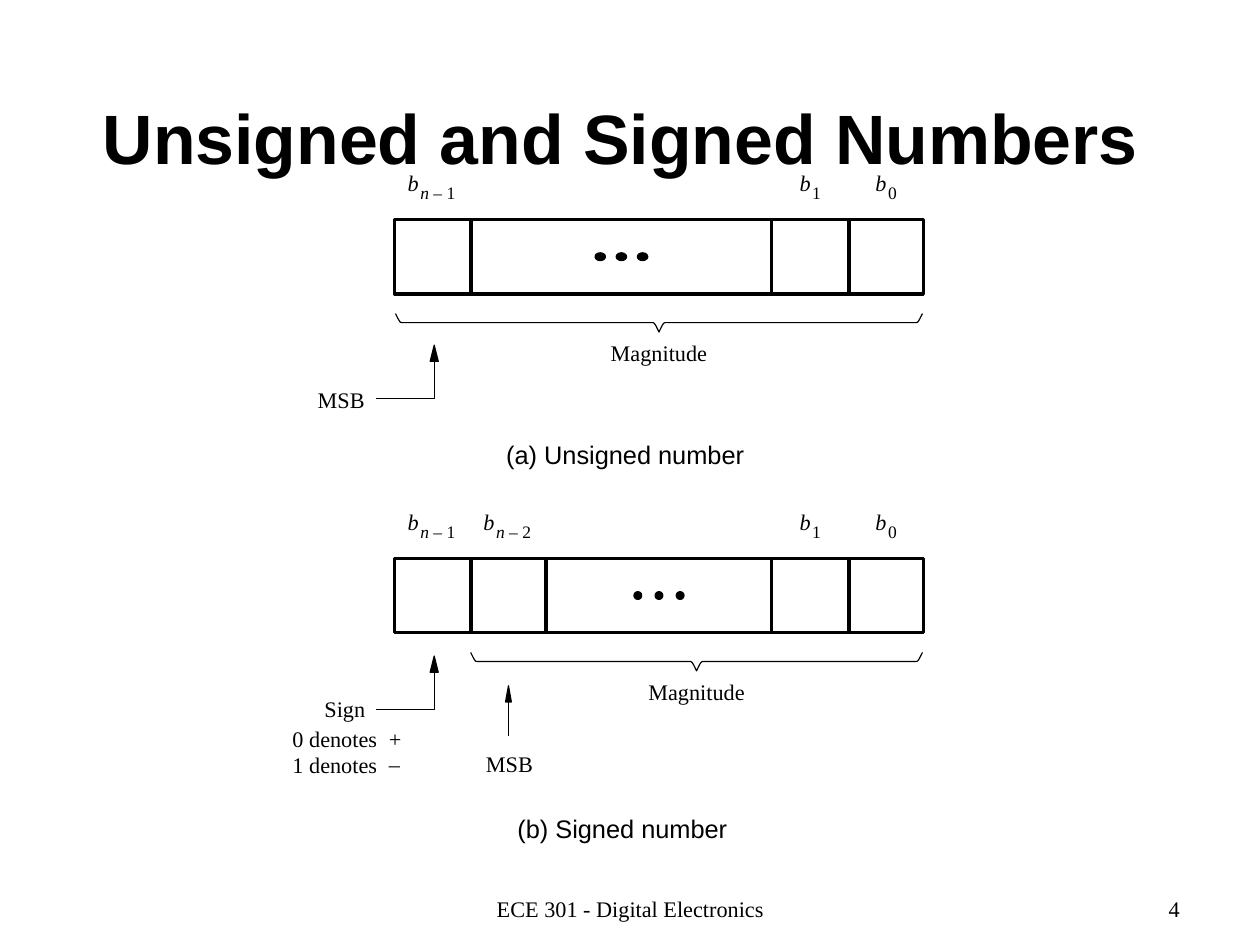
from dataclasses import dataclass

from lxml import etree
from pptx import Presentation
from pptx.dml.color import RGBColor
from pptx.enum.shapes import MSO_CONNECTOR, MSO_SHAPE
from pptx.enum.text import MSO_ANCHOR, MSO_AUTO_SIZE, PP_ALIGN
from pptx.oxml.ns import qn
from pptx.util import Cm, Pt


@dataclass(frozen=True)
class Theme:
    ink: RGBColor = RGBColor(0, 0, 0)
    sans: str = "Arial"
    serif: str = "Times New Roman"
    title: int = 44
    caption: int = 16
    label: int = 14
    subscript: int = 11
    cell_line: float = 2.25
    thin_line: float = 0.75


THEME = Theme()

# All lengths below are in centimetres.
TITLE = "Unsigned and Signed Numbers"
CELL_HEIGHT = 1.65
BRACE_END = 20.5
MAGNITUDE_WIDTH = 2.8
# Each cell: left edge, right edge, (italic, upright) subscript or None for dots.
HIGH_BIT = (8.77, 10.47, ("n", " – 1"))
LOW_BITS = [(17.15, 18.87, ("", "1")), (18.87, 20.52, ("", "0"))]
REGISTERS = [
    {"top": 4.88, "dot_width": 0.18, "brace_start": 8.79,
     "cells": [HIGH_BIT, (10.47, 17.15, None), *LOW_BITS]},
    {"top": 12.41, "dot_width": 0.12, "brace_start": 10.46,
     "cells": [HIGH_BIT, (10.47, 12.14, ("n", " – 2")),
               (12.14, 17.15, None), *LOW_BITS]},
]
# Each pointer: points from tail to tip, width of the head.
POINTERS = [
    ([(8.36, 8.85), (9.65, 8.85), (9.65, 7.67)], 0.18),
    ([(8.36, 15.77), (9.65, 15.77), (9.65, 14.58)], 0.18),
    ([(11.3, 16.36), (11.3, 15.24)], 0.13),
]
NOTES = [
    ("MSB", 7.06, 8.59, 1.25),
    ("Sign", 7.21, 15.45, 1.1),
    ("0 denotes", 6.5, 16.11, 2.1),
    ("+", 8.64, 16.11, 0.5),
    ("1 denotes", 6.5, 16.69, 2.1),
    ("–", 8.64, 16.68, 0.5),
    ("MSB", 10.8, 16.67, 1.25),
]
CAPTIONS = [("(a) Unsigned number", 11.25, 9.77, 5.8),
            ("(b) Signed number", 11.5, 18.08, 5.2)]
FOOTER_TOP = 19.94
FOOTERS = [("ECE 301 - Digital Electronics", 9.58, 8.86, PP_ALIGN.CENTER),
           ("4", 19.69, 6.53, PP_ALIGN.RIGHT)]


def clear_margins(frame):
    frame.margin_left = frame.margin_right = 0
    frame.margin_top = frame.margin_bottom = 0


def add_run(paragraph, words, size, face, italic=False, bold=False):
    run = paragraph.add_run()
    run.text = words
    font = run.font
    font.name, font.size = face, Pt(size)
    font.italic, font.bold = italic, bold
    font.color.rgb = THEME.ink


def add_text(slide, runs, left, top, width, size=THEME.label,
             face=THEME.serif, align=PP_ALIGN.LEFT):
    """Add one line of text; runs are (words, italic) pairs."""
    box = slide.shapes.add_textbox(Cm(left), Cm(top), Cm(width), Cm(size * 0.042))
    frame = box.text_frame
    clear_margins(frame)
    frame.word_wrap = True
    frame.auto_size = MSO_AUTO_SIZE.NONE
    line = frame.paragraphs[0]
    line.alignment = align
    for words, italic in runs:
        if words:
            add_run(line, words, size, face, italic)
    return line


def style_shape(shape, line_width, filled=False):
    shape.shadow.inherit = False
    if filled:
        shape.fill.solid()
        shape.fill.fore_color.rgb = THEME.ink
    else:
        shape.fill.background()
    shape.line.color.rgb = THEME.ink
    shape.line.width = Pt(line_width)


def add_outline(slide, points, closed=False):
    corners = [(Cm(x), Cm(y)) for x, y in points]
    builder = slide.shapes.build_freeform(*corners[0])
    builder.add_line_segments(corners[1:], close=closed)
    style_shape(builder.convert_to_shape(), THEME.thin_line, filled=closed)


def bend(start, corner, end, steps=8):
    """Points on a curve pulled twice towards one corner."""
    curve = []
    for step in range(steps + 1):
        t = step / steps
        weights = ((1 - t) ** 3, 3 * t * (1 - t), t ** 3)
        curve.append(tuple(sum(w * p for w, p in zip(weights, axis))
                           for axis in zip(start, corner, end)))
    return curve


def add_brace(slide, left, right, top):
    middle, bar, tip = (left + right) / 2, top + 0.2, top + 0.41
    half = bend((left, top), (left + 0.1, bar), (left + 0.15, bar))
    half += bend((middle - 0.17, bar), (middle - 0.1, bar), (middle, tip))
    mirrored = [(left + right - x, y) for x, y in reversed(half[:-1])]
    add_outline(slide, half + mirrored)


def add_pointer(slide, points, head_width, head_length=0.36):
    *tail, (x, tip) = points
    neck = tip + head_length
    if len(tail) == 1:
        shaft = slide.shapes.add_connector(
            MSO_CONNECTOR.STRAIGHT, *map(Cm, tail[0]), Cm(x), Cm(neck))
        shaft.line.color.rgb = THEME.ink
        shaft.line.width = Pt(THEME.thin_line)
        etree.SubElement(shaft._element.spPr, qn("a:effectLst"))
    else:
        add_outline(slide, tail + [(x, neck)])
    half = head_width / 2
    add_outline(slide, [(x - half, neck), (x, tip), (x + half, neck)], closed=True)


def add_dots(slide, center, middle, width, height=0.12, pitch=0.47):
    for offset in (-pitch, 0, pitch):
        dot = slide.shapes.add_shape(
            MSO_SHAPE.OVAL, Cm(center + offset - width / 2),
            Cm(middle - height / 2), Cm(width), Cm(height))
        style_shape(dot, THEME.cell_line, filled=True)


def add_bit_name(slide, subscript, center, cell_top, room=0.3):
    """Centre b and its subscript over a cell; room keeps each on one line."""
    italic, upright = subscript
    base_width, subscript_width = 0.28, 0.84 if italic else 0.2
    left = center - (base_width + subscript_width) / 2
    add_text(slide, [("b", True)], left, cell_top - 1.12, base_width + room)
    add_text(slide, [(italic, True), (upright, False)], left + base_width,
             cell_top - 0.84, subscript_width + room, THEME.subscript)


def add_register(slide, top, dot_width, brace_start, cells):
    for left, right, subscript in cells:
        cell = slide.shapes.add_shape(MSO_SHAPE.RECTANGLE, Cm(left), Cm(top),
                                      Cm(right - left), Cm(CELL_HEIGHT))
        style_shape(cell, THEME.cell_line)
        center = (left + right) / 2
        if subscript:
            add_bit_name(slide, subscript, center, top)
        else:
            add_dots(slide, center, top + CELL_HEIGHT / 2, dot_width)
    add_brace(slide, brace_start, BRACE_END, top + 2.09)
    add_text(slide, [("Magnitude", False)],
             (brace_start + BRACE_END - MAGNITUDE_WIDTH) / 2, top + 2.67,
             MAGNITUDE_WIDTH, align=PP_ALIGN.CENTER)


def fill_title(title):
    title.left, title.top = Cm(1.5), Cm(1.34)
    title.width, title.height = Cm(24.61), Cm(3.51)
    frame = title.text_frame
    clear_margins(frame)
    frame.margin_top = Cm(0.1)
    frame.vertical_anchor = MSO_ANCHOR.MIDDLE
    frame.auto_size = MSO_AUTO_SIZE.NONE
    line = frame.paragraphs[0]
    line.alignment, line.line_spacing = PP_ALIGN.CENTER, 0.93
    add_run(line, TITLE, THEME.title, THEME.sans, bold=True)


def main():
    deck = Presentation()
    deck.slide_width, deck.slide_height = Cm(28), Cm(21)
    slide = deck.slides.add_slide(deck.slide_layouts.get_by_name("Title Only"))
    fill_title(slide.shapes.title)
    for register in REGISTERS:
        add_register(slide, **register)
    for points, head_width in POINTERS:
        add_pointer(slide, points, head_width)
    for words, *place in NOTES:
        add_text(slide, [(words, False)], *place)
    for words, *place in CAPTIONS:
        add_text(slide, [(words, False)], *place, THEME.caption, THEME.sans)
    for words, left, width, align in FOOTERS:
        line = add_text(slide, [(words, False)], left, FOOTER_TOP, width, align=align)
        line.line_spacing = 0.95
    deck.save("out.pptx")


if __name__ == "__main__":
    main()
